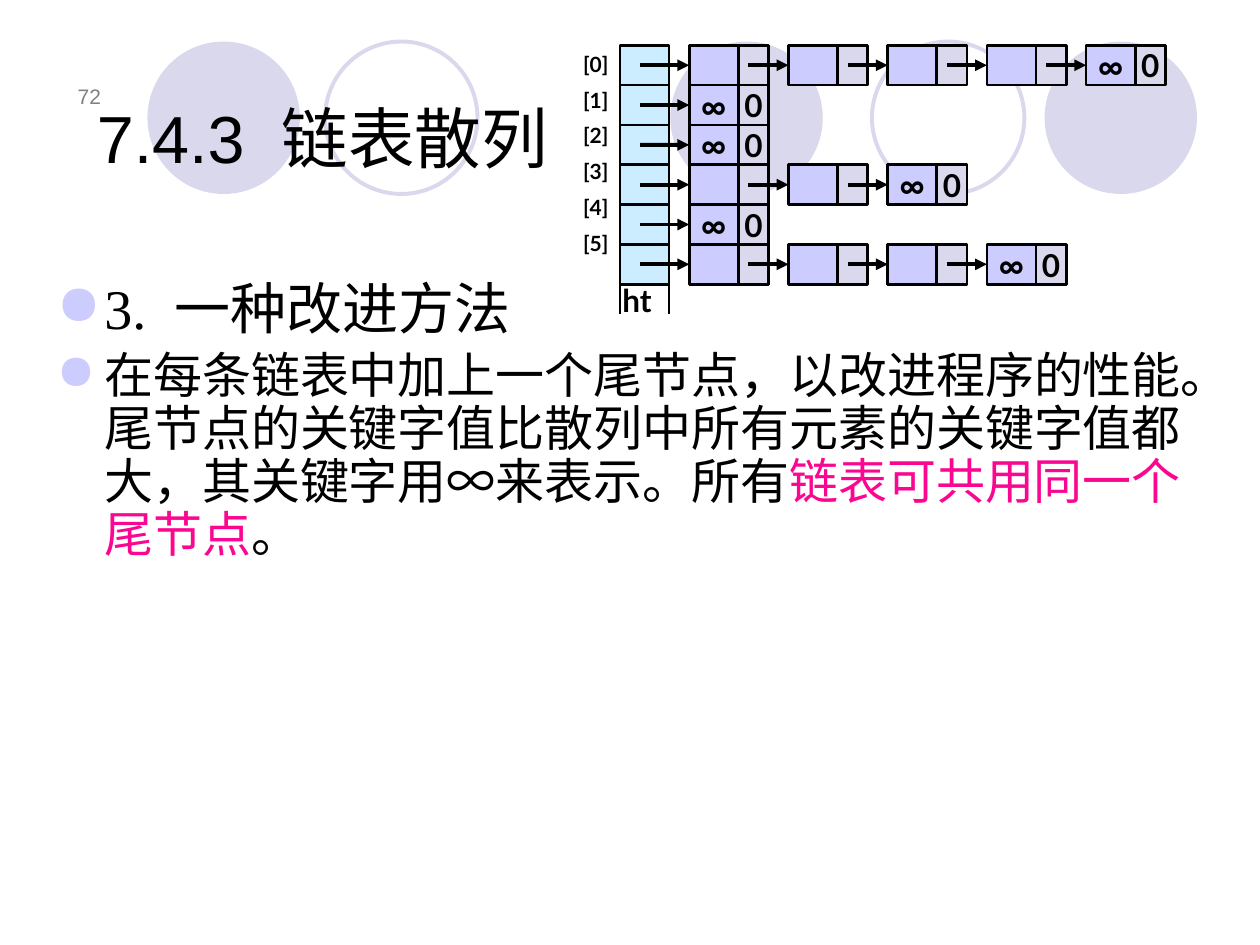
import pptx
import pptx.dml.color
import pptx.enum.shapes
import pptx.enum.text
import pptx.oxml.ns
import pptx.util
from lxml import etree

Inches = pptx.util.Inches
Pt = pptx.util.Pt
ALIGN = pptx.enum.text.PP_ALIGN
ANCHOR = pptx.enum.text.MSO_ANCHOR
SHAPE = pptx.enum.shapes.MSO_SHAPE

COLORS = {
    "black": "000000",
    "gray": "808080",
    "pink": "FA0691",
    "circle": "D9D8EC",
    "head": "CCECFF",
    "key": "CCCCFF",
    "link": "D9D8EC",
    "bullet": "CCCCFF",
}

TOP = 0.36
ROW_HEIGHT = 1.58 / 5
HEAD_LEFT, HEAD_WIDTH = 4.92, 0.39
NODE_LEFT, NODE_PITCH = 5.47, 3.15 / 4
KEY_WIDTH, LINK_WIDTH = 0.39, 0.24
# Ordinary nodes before the tail node in each bucket
CHAIN_LENGTHS = [4, 0, 0, 2, 0, 3]


def color(name):
    return pptx.dml.color.RGBColor.from_string(COLORS[name])


def add_child(parent, tag, **attributes):
    return etree.SubElement(parent, pptx.oxml.ns.qn(tag), **attributes)


class SlideBuilder:
    def __init__(self, slide):
        self.slide = slide

    def run(self, paragraph, text, size, font, fill="black", bold=False):
        run = paragraph.add_run()
        run.text = text
        run.font.size = Pt(size)
        run.font.name = font
        run.font.bold = bold
        run.font.color.rgb = color(fill)

    def shape(self, kind, left, top, width, height, fill=None, line=None, line_width=1.5):
        shape = self.slide.shapes.add_shape(
            kind, Inches(left), Inches(top), Inches(width), Inches(height))
        shape.shadow.inherit = False
        if fill:
            shape.fill.solid()
            shape.fill.fore_color.rgb = color(fill)
        else:
            shape.fill.background()
        if line:
            shape.line.color.rgb = color(line)
            shape.line.width = Pt(line_width)
        else:
            shape.line.fill.background()
        return shape

    def cell(self, left, top, width, fill, text="", size=18):
        cell = self.shape(SHAPE.RECTANGLE, left, top, width, ROW_HEIGHT, fill, "black")
        if text:
            frame = cell.text_frame
            frame.word_wrap = False
            frame.vertical_anchor = ANCHOR.MIDDLE
            paragraph = frame.paragraphs[0]
            paragraph.alignment = ALIGN.CENTER
            self.run(paragraph, text, size, "Lato", bold=True)
        return cell

    def line(self, start, end, width=1.5, arrow=False):
        line = self.slide.shapes.add_connector(
            pptx.enum.shapes.MSO_CONNECTOR.STRAIGHT,
            *(Inches(value) for value in (*start, *end)))
        line.line.color.rgb = color("black")
        line.line.width = Pt(width)
        if arrow:
            add_child(line.line._get_or_add_ln(), "a:tailEnd", type="triangle")
        add_child(line._element.spPr, "a:effectLst")
        return line

    def node(self, left, top, pointer_left, is_tail):
        """Draw a two-part list node and the arrow that leads to it."""
        key_text, link_text = ("∞", "0") if is_tail else ("", "")
        key = self.cell(left, top, KEY_WIDTH, "key", key_text, 20)
        self.cell(left + KEY_WIDTH, top, LINK_WIDTH, "link", link_text)
        middle = top + ROW_HEIGHT / 2
        arrow = self.line((pointer_left, middle), (left, middle), 2.25, arrow=True)
        arrow.end_connect(key, 1)

    def text_frame(self, left, top, width, height, anchor=ANCHOR.TOP):
        box = self.slide.shapes.add_textbox(
            Inches(left), Inches(top), Inches(width), Inches(height))
        frame = box.text_frame
        frame.word_wrap = True
        frame.vertical_anchor = anchor
        return frame

    def text(self, left, top, width, height, lines, size, font, fill="black",
             bold=False, anchor=ANCHOR.TOP, alignment=ALIGN.LEFT):
        frame = self.text_frame(left, top, width, height, anchor)
        for index, text in enumerate(lines):
            paragraph = frame.add_paragraph() if index else frame.paragraphs[0]
            paragraph.alignment = alignment
            if index:
                paragraph.space_before = Pt(size / 2)
            self.run(paragraph, text, size, font, fill, bold)

    def bullets(self, left, top, width, height, items):
        """Each item is a text size and a list of (text, colour) runs."""
        frame = self.text_frame(left, top, width, height)
        for index, (size, runs) in enumerate(items):
            paragraph = frame.add_paragraph() if index else frame.paragraphs[0]
            properties = paragraph._p.get_or_add_pPr()
            properties.set("marL", str(Inches(0.38)))
            properties.set("indent", str(-Inches(0.38)))
            bullet_color = add_child(properties, "a:buClr")
            add_child(bullet_color, "a:srgbClr", val=COLORS["bullet"])
            add_child(properties, "a:buChar", char="●")
            paragraph.line_spacing = 0.9
            if index:
                paragraph.space_before = Pt(size * 0.2)
            for text, fill in runs:
                self.run(paragraph, text, size, "Times New Roman", fill)


def draw_circles(builder):
    for left in (5.32, 8.29, 1.17):
        builder.shape(SHAPE.OVAL, left, 0.33, 1.21, 1.21, fill="circle")
    for left in (6.92, 2.58):
        builder.shape(SHAPE.OVAL, left, 0.33, 1.21, 1.21, line="circle", line_width=2.25)


def draw_hash_table(builder):
    for row, length in enumerate(CHAIN_LENGTHS):
        top = TOP + row * ROW_HEIGHT
        builder.cell(HEAD_LEFT, top, HEAD_WIDTH, "head")
        pointer_left = 5.08
        for position in range(length + 1):
            left = NODE_LEFT + position * NODE_PITCH
            builder.node(left, top, pointer_left, position == length)
            pointer_left = left + 0.47
    for x in (HEAD_LEFT, HEAD_LEFT + HEAD_WIDTH):
        builder.line((x, TOP), (x, 2.49))
    labels = [f"[{row}]" for row in range(len(CHAIN_LENGTHS))]
    builder.text(4.53, TOP, 0.47, 1.8, labels, 12, "Lato", bold=True)
    builder.text(4.84, 2.18, 0.55, 0.4, ["ht"], 18, "Lato", bold=True)


def main():
    presentation = pptx.Presentation()
    presentation.slide_width = Inches(10)
    presentation.slide_height = Inches(7.5)
    builder = SlideBuilder(presentation.slides.add_slide(presentation.slide_layouts[6]))

    draw_circles(builder)
    builder.text(0.35, 0.44, 0.55, 0.47, ["72"], 12, "Arial", "gray",
                 anchor=ANCHOR.BOTTOM, alignment=ALIGN.RIGHT)
    builder.text(0.67, 0.7, 3.95, 0.75, ["7.4.3  链表散列"], 38, "Arial",
                 anchor=ANCHOR.BOTTOM)
    builder.bullets(0.35, 2.18, 9.28, 5.12, [
        (32, [("3.  一种改进方法", "black")]),
        (28, [
            ("在每条链表中加上一个尾节点，以改进程序的性能。"
             "尾节点的关键字值比散列中所有元素的关键字值都大，"
             "其关键字用∞来表示。所有", "black"),
            ("链表可共用同一个尾节点", "pink"),
            ("。", "black"),
        ]),
    ])
    draw_hash_table(builder)
    presentation.save("out.pptx")


if __name__ == "__main__":
    main()
